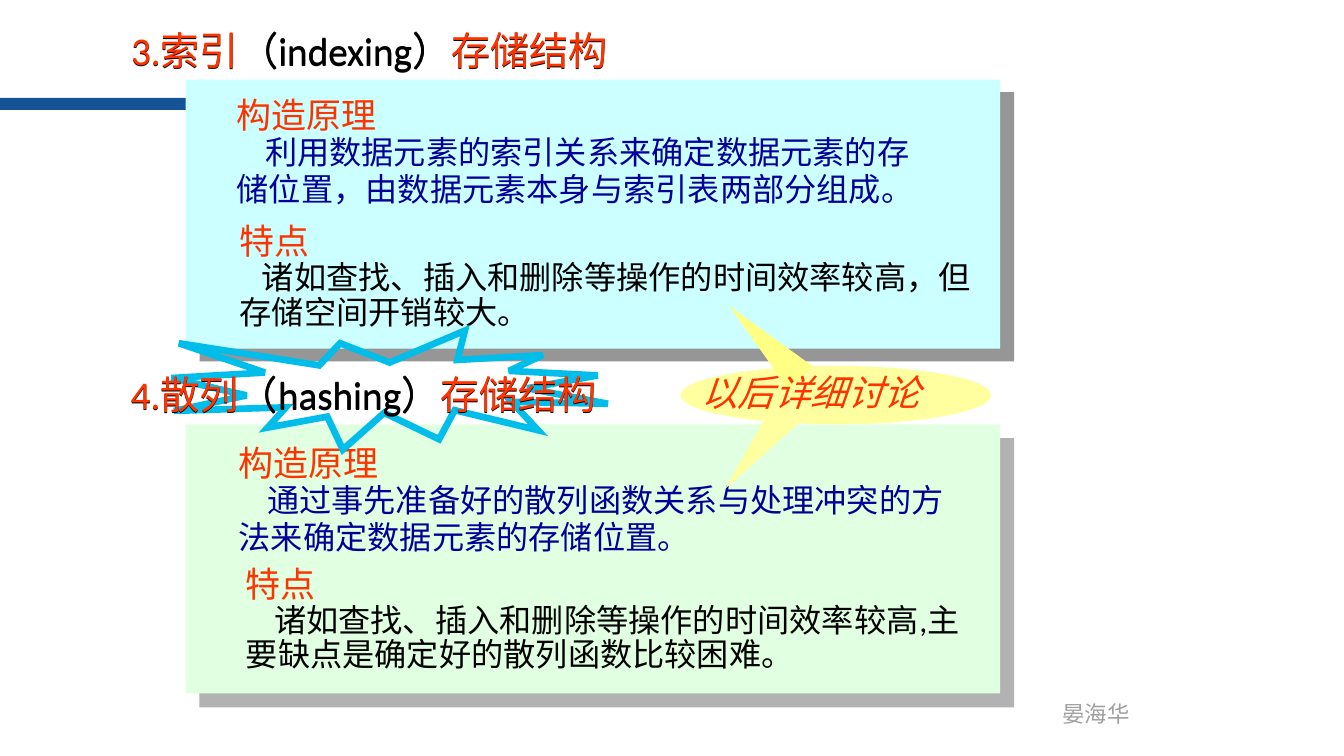
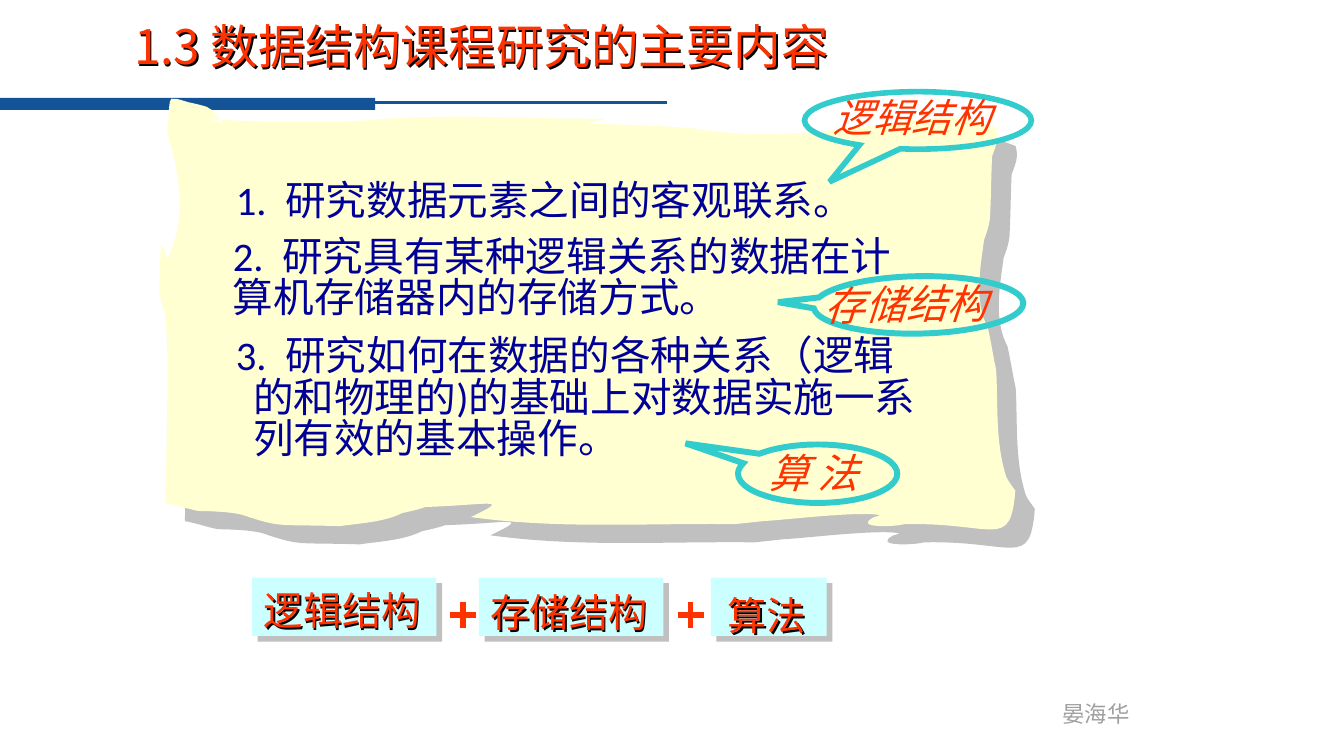
import dataclasses

import lxml.etree
import pptx
import pptx.dml.color
import pptx.enum.shapes
import pptx.enum.text
import pptx.oxml.ns
import pptx.util

PX = 9144  # 100 px to the inch
SHAPES = pptx.enum.shapes.MSO_SHAPE
STRAIGHT = pptx.enum.shapes.MSO_CONNECTOR.STRAIGHT
qn = pptx.oxml.ns.qn


@dataclasses.dataclass(frozen=True)
class Theme:
    band: str = "145396"
    red: str = "FF3300"
    navy: str = "000099"
    black: str = "000000"
    author: str = "9F9F9F"
    cyan: str = "CCFFFF"
    green: str = "E1FFE1"
    scroll: str = "FFFFD1"
    bubble: str = "FFFF9F"
    bubble_tip: str = "FFFF83"
    burst: str = "00BDEA"
    callout: str = "33CCCC"
    font: str = "Calibri"
    cjk_font: str = "Noto Sans CJK SC"
    title: int = 34
    items: int = 29
    section: int = 28
    remark: int = 26
    heading: int = 25
    text: int = 23
    footer: int = 16
    # Shadows: colour, distance in points, angle in degrees
    cyan_shadow: tuple = ("969696", 13.5, 42)
    green_shadow: tuple = ("B2B2B2", 14.1, 45)
    scroll_shadow: tuple = ("C0C0C0", 19.1, 43)
    tile_shadow: tuple = ("C0C0C0", 5.7, 45)
    section_shadow: tuple = ("000000", 1, 90)
    text_shadow: tuple = ("000000", 1.5, 45)


@dataclasses.dataclass
class Row:
    spans: list  # (text, colour) pairs
    size: int
    italic: bool = False
    spacing: float = 1.0
    before: int = 0
    left: int = 0
    indent: int = 0
    font: str = Theme.font


def place(shape, box=None, fill=None, line=None, shadow=None, rotation=0):
    """Position a shape and give it fill, line (colour, points) and shadow."""
    if box:
        shape.left, shape.top, shape.width, shape.height = [n * PX for n in box]
    shape.rotation = rotation
    if fill:
        shape.fill.solid()
        shape.fill.fore_color.rgb = pptx.dml.color.RGBColor.from_string(fill)
    else:
        shape.fill.background()
    if line:
        shape.line.color.rgb = pptx.dml.color.RGBColor.from_string(line[0])
        shape.line.width = pptx.util.Pt(line[1])
        stroke = shape._element.spPr.find(qn("a:ln"))
        lxml.etree.SubElement(stroke, qn("a:miter"), lim="800000")
    else:
        shape.line.fill.background()
    shape.shadow.inherit = False
    if shadow:
        colour, distance, angle = shadow
        effects = shape._element.spPr.find(qn("a:effectLst"))
        outer = lxml.etree.SubElement(
            effects, qn("a:outerShdw"), dist=str(int(distance * 12700)),
            dir=str(angle * 60000), algn="ctr", rotWithShape="0")
        lxml.etree.SubElement(outer, qn("a:srgbClr"), val=colour)
    return shape


def write(shape, *rows):
    """Fill a shape with rows of left-aligned text."""
    frame = shape.text_frame
    frame.word_wrap = True
    frame.auto_size = pptx.enum.text.MSO_AUTO_SIZE.NONE
    frame.vertical_anchor = pptx.enum.text.MSO_ANCHOR.TOP
    for number, row in enumerate(rows):
        para = frame.add_paragraph() if number else frame.paragraphs[0]
        para.alignment = pptx.enum.text.PP_ALIGN.LEFT
        para.line_spacing = row.spacing
        para.space_before = pptx.util.Pt(row.before)
        props = para._p.get_or_add_pPr()
        props.set("marL", str(row.left * PX))
        props.set("indent", str(row.indent * PX))
        lxml.etree.SubElement(props, qn("a:buNone"))
        para.font.size = pptx.util.Pt(row.size)
        para.font.italic = row.italic
        para.font.color.rgb = pptx.dml.color.RGBColor.from_string(row.spans[0][1])
        para.font.name = row.font
        lxml.etree.SubElement(para.font._rPr, qn("a:ea"), typeface=Theme.font)
        for text, colour in row.spans:
            span = para.add_run()
            span.text = text
            if colour != row.spans[0][1]:
                span.font.color.rgb = pptx.dml.color.RGBColor.from_string(colour)


theme = Theme()
deck = pptx.Presentation()
deck.slide_width, deck.slide_height = 1333 * PX, 750 * PX
storage = deck.slides.add_slide(deck.slide_layouts[5])
content = deck.slides.add_slide(deck.slide_layouts[1])

# Shared band, rule and author, moved to the master
band = place(storage.shapes.add_shape(SHAPES.RECTANGLE, 0, 0, 0, 0),
             (0, 97, 372, 12), theme.band)
rule = storage.shapes.add_connector(STRAIGHT, 368 * PX, 102 * PX, 662 * PX, 102 * PX)
rule.line.color.rgb = pptx.dml.color.RGBColor.from_string(theme.band)
rule.line.width = pptx.util.Pt(2.25)
lxml.etree.SubElement(rule._element.spPr, qn("a:effectLst"))
author = place(storage.shapes.add_textbox(0, 0, 0, 0), (1044, 690, 100, 37))
write(author, Row([("晏海华", theme.author)], theme.footer))
for shared in (band, rule, author):
    deck.slide_master.shapes._spTree.append(shared._element)

# Slide 1: title and the two panels
place(storage.shapes.title, (120, 21, 576, 57), shadow=theme.section_shadow)
write(storage.shapes.title, Row(
    [("3.索引", theme.red), ("（indexing）", theme.black), ("存储结构", theme.red)],
    theme.section))

panels = [
    (79, theme.cyan, theme.cyan_shadow, [
        ((225, 88, 695, 125), "构造原理", theme.navy, 0.95, 28,
         "利用数据元素的索引关系来确定数据元素的存储位置，由数据元素本身与索引表两部分组成。"),
        ((228, 213, 757, 121), "特点", theme.black, 0.9, 22,
         "诸如查找、插入和删除等操作的时间效率较高，但存储空间开销较大。")]),
    (421, theme.green, theme.green_shadow, [
        ((227, 433, 735, 125), "构造原理", theme.navy, 0.95, 28,
         "通过事先准备好的散列函数关系与处理冲突的方法来确定数据元素的存储位置。"),
        ((234, 553, 758, 121), "特点", theme.black, 0.9, 28,
         "诸如查找、插入和删除等操作的时间效率较高,主要缺点是确定好的散列函数比较困难。")]),
]
for top, fill, shadow, notes in panels:
    place(storage.shapes.add_shape(SHAPES.RECTANGLE, 0, 0, 0, 0),
          (184, top, 808, 267), fill, shadow=shadow)
    for box, heading, colour, spacing, indent, text in notes:
        note = place(storage.shapes.add_textbox(0, 0, 0, 0), box)
        write(note, Row([(heading, theme.red)], theme.heading),
              Row([(text, colour)], theme.text, spacing=spacing, indent=indent))

# Slide 1: two-pointed bubble
for preset, box, fill, rotation in [
    (SHAPES.ISOSCELES_TRIANGLE, (734, 396, 33, 100), theme.bubble, 218.8),
    (SHAPES.OVAL, (675, 363, 308, 58), theme.bubble, 0),
    (SHAPES.ISOSCELES_TRIANGLE, (742, 289, 33, 100), theme.bubble_tip, 315.2),
]:
    place(storage.shapes.add_shape(preset, 0, 0, 0, 0), box, fill, rotation=rotation)
remark = place(storage.shapes.add_textbox(0, 0, 0, 0), (686, 362, 303, 53))
write(remark, Row([("以后详细讨论", theme.red)], theme.remark, italic=True))

# Slide 1: second heading on its burst
place(storage.shapes.add_shape(SHAPES.EXPLOSION1, 0, 0, 0, 0),
      (170, 328, 433, 118), line=(theme.burst, 4.75))
hashing = place(storage.shapes.add_textbox(0, 0, 0, 0), (120, 362, 553, 57),
                shadow=theme.section_shadow)
write(hashing, Row(
    [("4.散列", theme.red), ("（hashing）", theme.black), ("存储结构", theme.red)],
    theme.section))

# Slide 2: title
place(content.shapes.title, (123, 12, 836, 67), shadow=theme.text_shadow)
write(content.shapes.title, Row([("1.3 数据结构课程研究的主要内容", theme.red)],
                                theme.title, font=theme.cjk_font))

# Slide 2: torn scroll, each row being two control points and an end point
start = (203, 118)
curves = [
    (257, 121, 301, 122, 358, 120), (440, 112, 513, 118, 601, 118),
    (571, 126, 571, 121, 646, 125), (659, 125, 687, 127, 700, 129),
    (763, 139, 828, 129, 891, 122), (908, 118, 923, 118, 941, 116),
    (960, 118, 971, 120, 988, 127), (991, 138, 988, 144, 984, 155),
    (983, 175, 983, 194, 982, 214), (982, 218, 981, 222, 980, 226),
    (979, 230, 976, 238, 976, 238), (972, 268, 966, 299, 980, 326),
    (983, 340, 985, 353, 988, 367), (990, 401, 987, 439, 998, 473),
    (1000, 478, 1004, 482, 1007, 487), (1002, 547, 987, 518, 897, 520),
    (886, 523, 845, 524, 867, 513), (868, 513, 871, 512, 873, 511),
    (850, 507, 779, 516, 757, 517), (748, 518, 729, 520, 729, 520),
    (637, 519, 554, 525, 467, 513), (509, 493, 485, 501, 422, 503),
    (414, 506, 399, 509, 399, 509), (381, 518, 358, 519, 337, 522),
    (273, 520, 280, 524, 241, 511), (227, 507, 197, 507, 197, 507),
    (186, 505, 176, 501, 164, 499), (165, 458, 166, 416, 166, 375),
    (166, 355, 166, 335, 164, 316), (164, 310, 162, 305, 160, 300),
    (160, 297, 158, 291, 158, 291), (160, 247, 157, 229, 166, 257),
    (185, 219, 179, 173, 166, 133), (167, 123, 167, 114, 168, 104),
    (169, 102, 168, 99, 170, 98), (175, 97, 184, 101, 189, 102),
    (195, 103, 205, 106, 205, 106), (216, 113, 208, 107, 216, 116),
    (218, 118, 222, 122, 222, 122),
]
builder = content.shapes.build_freeform(start[0], start[1], scale=PX)
builder.add_line_segments([curve[4:] for curve in curves], close=True)
scroll = place(builder.convert_to_shape(), fill=theme.scroll, shadow=theme.scroll_shadow)

# Bend the straight segments; the outline counts px from the scroll's corner
corner_x, corner_y = scroll.left // PX, scroll.top // PX
segments = list(scroll._element.iter(qn("a:lnTo")))
for segment, curve in zip(segments, curves):
    segment.tag = qn("a:cubicBezTo")
    segment.remove(segment[0])
    for x, y in zip(curve[::2], curve[1::2]):
        lxml.etree.SubElement(segment, qn("a:pt"), x=str(x - corner_x), y=str(y - corner_y))

# Slide 2: numbered list, above the scroll
body = place(content.placeholders[1], (231, 181, 684, 290))
content.shapes._spTree.append(body._element)
frame = body.text_frame
frame.margin_left = frame.margin_right = frame.margin_top = frame.margin_bottom = 0
topics = [
    ("1.  研究数据元素之间的客观联系。", 0, 3, 0),
    ("2.  研究具有某种逻辑关系的数据在计算机存储器内的存储方式。", 10, 0, 0),
    ("3.  研究如何在数据的各种关系（逻辑的和物理的)的基础上对数据实施一系列有效的基本操作。",
     12, 20, -17),
]
write(body, *[Row([(text, theme.navy)], theme.items, spacing=0.85, before=before,
                  left=left, indent=indent) for text, before, left, indent in topics])

# Slide 2: callouts
for box, tip, weight, rotation, label_box, label, size in [
    ((798, 91, 225, 57), (-0.39, 1.07), 4, 0,
     (817, 88, 192, 57), "逻辑结构", theme.section),
    ((807, 274, 208, 57), (-0.67, -0.09), 4.25, 359,
     (808, 272, 192, 58), "存储结构", theme.items),
    ((732, 441, 158, 58), (-0.83, -0.52), 4.25, 0,
     (752, 439, 155, 58), "算 法", theme.items),
]:
    callout = place(content.shapes.add_shape(SHAPES.OVAL_CALLOUT, 0, 0, 0, 0), box,
                    line=(theme.callout, weight), rotation=rotation)
    callout.adjustments[0], callout.adjustments[1] = tip
    caption = place(content.shapes.add_textbox(0, 0, 0, 0), label_box, rotation=rotation)
    write(caption, Row([(label, theme.red)], size, italic=True))

# Slide 2: sum of the three parts
for left, width, label_left, label_top, label in [
    (250, 183, 252, 577, "逻辑结构"),
    (475, 183, 477, 579, "存储结构"),
    (705, 115, 712, 582, "算法"),
]:
    place(content.shapes.add_shape(SHAPES.RECTANGLE, 0, 0, 0, 0),
          (left, 573, width, 58), theme.cyan, shadow=theme.tile_shadow)
    name = place(content.shapes.add_textbox(0, 0, 0, 0),
                 (label_left, label_top, width + 14, 57), shadow=theme.text_shadow)
    write(name, Row([(label, theme.red)], theme.section))
arm = 13
for x, y in ((459, 610), (685, 610)):
    for dx, dy in ((arm, 0), (0, arm)):
        stroke = content.shapes.add_connector(
            STRAIGHT, (x - dx) * PX, (y - dy) * PX, (x + dx) * PX, (y + dy) * PX)
        stroke.line.color.rgb = pptx.dml.color.RGBColor.from_string(theme.red)
        stroke.line.width = pptx.util.Pt(4)
        lxml.etree.SubElement(stroke._element.spPr, qn("a:effectLst"))

deck.save("out.pptx")
